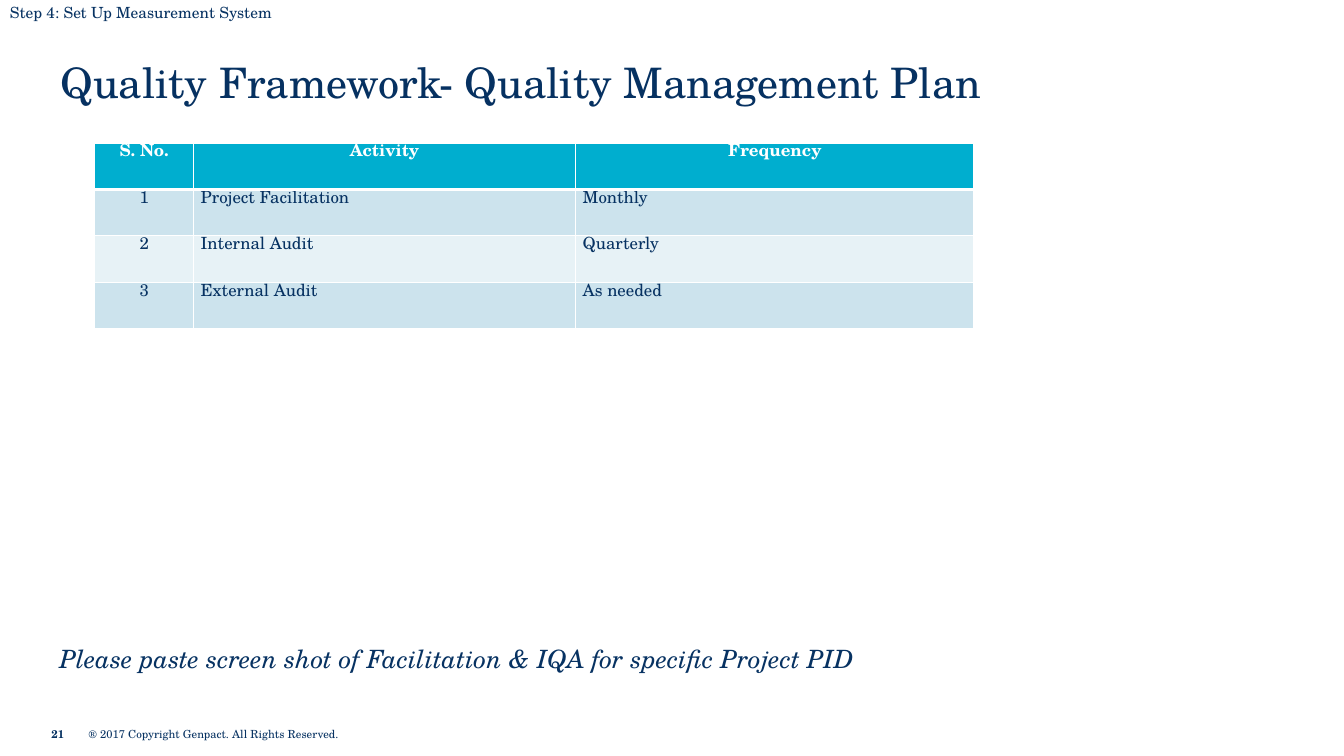
from lxml import etree
from pptx import Presentation
from pptx.dml.color import RGBColor
from pptx.enum.text import MSO_ANCHOR, MSO_AUTO_SIZE, PP_ALIGN
from pptx.oxml.ns import qn
from pptx.util import Inches, Pt

FONT = "TeX Gyre Schola"
NAVY = RGBColor(0x07, 0x32, 0x62)
TITLE_NAVY = RGBColor(0x06, 0x31, 0x61)
WHITE = RGBColor(0xFF, 0xFF, 0xFF)
HEADER_BLUE = RGBColor(0x00, 0xAE, 0xCF)
BAND_DARK = RGBColor(0xCC, 0xE3, 0xED)
BAND_LIGHT = RGBColor(0xE7, 0xF2, 0xF6)
LEFT, CENTER = PP_ALIGN.LEFT, PP_ALIGN.CENTER
TOP, MIDDLE = MSO_ANCHOR.TOP, MSO_ANCHOR.MIDDLE
NO_FIT = MSO_AUTO_SIZE.NONE
TITLE_ONLY = 5

COLUMN_WIDTHS = [0.98, 3.79, 3.95]
ROW_HEIGHT = 0.46
PLAN = [
    ["S. No.", "Activity", "Frequency"],
    ["1", "Project Facilitation", "Monthly"],
    ["2", "Internal Audit", "Quarterly"],
    ["3", "External Audit", "As needed"],
]


def write(frame, text, size, color=NAVY, bold=False, italic=False, align=LEFT):
    """Fill a text frame with one formatted paragraph and return it."""
    para = frame.paragraphs[0]
    para.alignment = align
    span = para.add_run()
    span.text = text
    span.font.name = FONT
    span.font.size = Pt(size)
    span.font.color.rgb = color
    span.font.bold = bold
    span.font.italic = italic
    return para


def set_frame(frame, anchor, inset=None):
    frame.word_wrap = True
    frame.auto_size = NO_FIT
    frame.vertical_anchor = anchor
    if inset is not None:
        frame.margin_left = frame.margin_right = Inches(inset)
        frame.margin_top = frame.margin_bottom = Inches(inset)


def add_label(page, area, text, size, anchor=TOP, inset=None, **style):
    box = page.shapes.add_textbox(*map(Inches, area))
    set_frame(box.text_frame, anchor, inset)
    write(box.text_frame, text, size, **style)


def add_title(page, area, text):
    title = page.shapes.title
    title.left, title.top, title.width, title.height = map(Inches, area)
    set_frame(title.text_frame, MIDDLE)
    write(title.text_frame, text, 30, color=TITLE_NAVY)


def add_borders(cell, top=1, bottom=1):
    """Draw white cell borders; widths are in points."""
    properties = cell._tc.get_or_add_tcPr()
    widths = {"a:lnL": 1, "a:lnR": 1, "a:lnT": top, "a:lnB": bottom}
    for position, (tag, width) in enumerate(widths.items()):
        line = etree.Element(qn(tag), w=str(Pt(width)))
        fill = etree.SubElement(line, qn("a:solidFill"))
        etree.SubElement(fill, qn("a:srgbClr"), val=str(WHITE))
        properties.insert(position, line)


def add_plan_table(page, left, top):
    width, height = sum(COLUMN_WIDTHS), ROW_HEIGHT * len(PLAN)
    table = page.shapes.add_table(
        len(PLAN), len(COLUMN_WIDTHS),
        Inches(left), Inches(top), Inches(width), Inches(height)).table
    for column, column_width in zip(table.columns, COLUMN_WIDTHS):
        column.width = Inches(column_width)
    for row_index, texts in enumerate(PLAN):
        header = row_index == 0
        band = BAND_DARK if row_index % 2 else BAND_LIGHT
        for column_index, text in enumerate(texts):
            cell = table.cell(row_index, column_index)
            cell.fill.solid()
            cell.fill.fore_color.rgb = HEADER_BLUE if header else band
            cell.margin_left = cell.margin_right = Inches(0.07)
            cell.margin_top = cell.margin_bottom = 0
            para = write(cell.text_frame, text, 12,
                         color=WHITE if header else NAVY, bold=header,
                         align=CENTER if header or column_index == 0 else LEFT)
            para.line_spacing = Pt(14)
            para.space_after = Pt(3)
            # A thick rule parts the header from the body
            add_borders(cell, top=3 if row_index == 1 else 1,
                        bottom=3 if header else 1)


def main():
    deck = Presentation()
    deck.slide_width, deck.slide_height = Inches(13.33), Inches(7.5)
    page = deck.slides.add_slide(deck.slide_layouts[TITLE_ONLY])

    # Footer
    add_label(page, (0.51, 7.16, 0.75, 0.24), "21", 8,
              anchor=MIDDLE, inset=0, bold=True)
    add_label(page, (0.88, 7.16, 2.58, 0.24),
              "® 2017 Copyright Genpact. All Rights Reserved.", 8,
              anchor=MIDDLE, inset=0)

    # Title, table and instruction
    add_title(page, (0.5, 0.52, 9.75, 0.58),
              "Quality Framework- Quality Management Plan")
    add_label(page, (0.49, 6.33, 12, 0.4),
              "Please paste screen shot of Facilitation & IQA for specific Project PID",
              18, italic=True)
    add_plan_table(page, 0.94, 1.42)

    # Step marker
    add_label(page, (0, -0.02, 5.44, 0.29),
              "Step 4: Set Up Measurement System", 11)

    deck.save("out.pptx")


if __name__ == "__main__":
    main()
